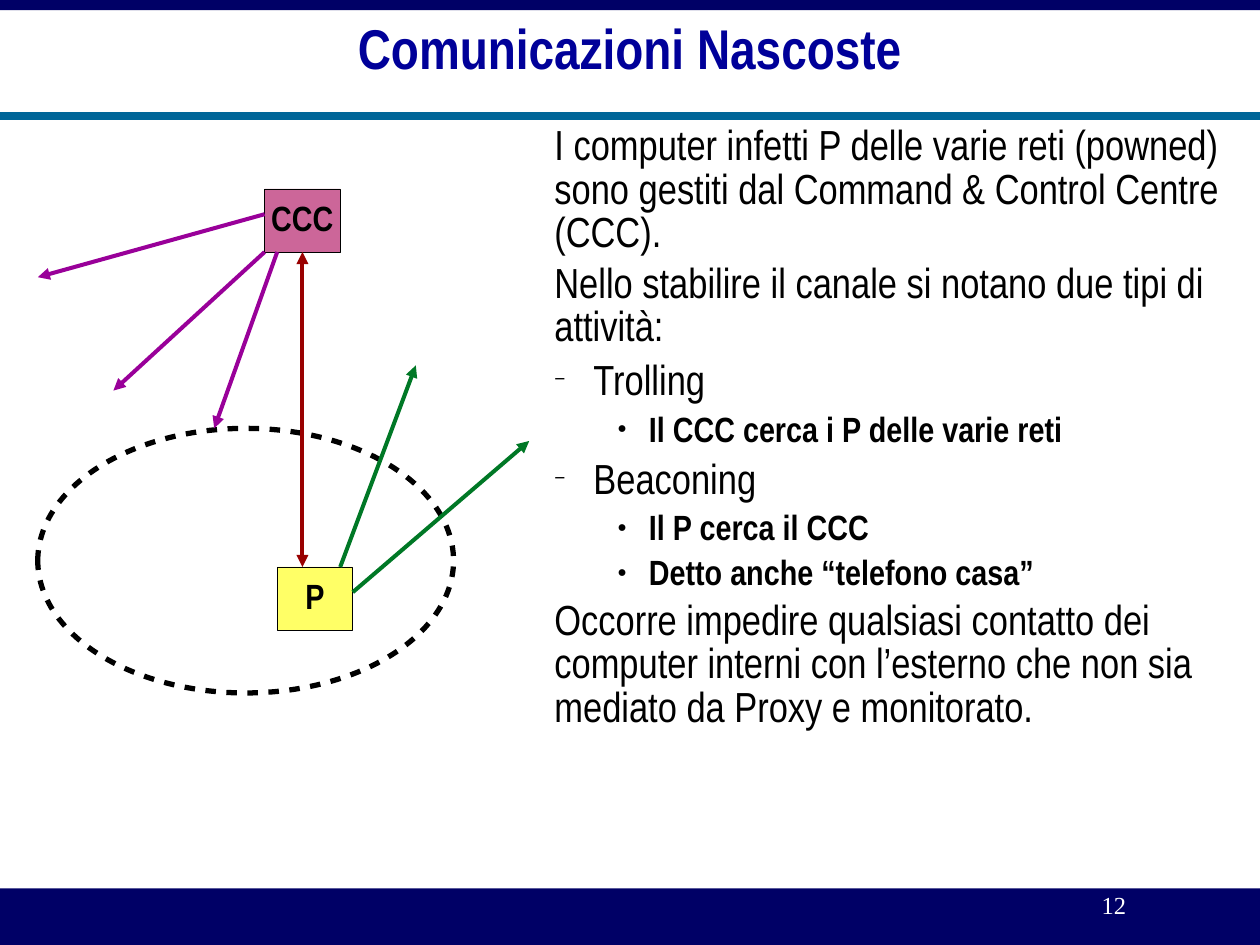
from dataclasses import dataclass

from lxml.etree import SubElement
from pptx import Presentation
from pptx.dml.color import RGBColor
from pptx.enum.shapes import MSO_CONNECTOR as Connector, MSO_SHAPE as Shape
from pptx.enum.text import MSO_ANCHOR as Anchor, MSO_AUTO_SIZE as AutoSize, PP_ALIGN as Align
from pptx.oxml.ns import qn
from pptx.util import Inches, Pt


@dataclass(frozen=True)
class Theme:
    """Colours, fonts, type sizes and line widths."""
    navy: str = "000066"
    teal: str = "006699"
    title: str = "000099"
    black: str = "000000"
    white: str = "FFFFFF"
    yellow: str = "FFFF66"
    pink: str = "CC6699"
    purple: str = "990099"
    green: str = "007826"
    red: str = "990000"
    font: str = "Arial Narrow"
    number_font: str = "Times New Roman"
    title_size: int = 32
    body_size: int = 24
    detail_size: int = 20
    number_size: int = 14
    spacing: float = 0.86
    rule: float = 4.5
    dashes: float = 3
    arrow: float = 2.3
    hairline: float = 0.25


@dataclass(frozen=True)
class Box:
    """A region measured in grid cells, ten to the inch."""
    column: float
    row: float
    columns: float
    rows: float

    def inner(self, column, row, columns, rows):
        """Return a smaller box placed relative to this one."""
        return Box(self.column + column, self.row + row, columns, rows)

    def point(self, column, row):
        """Return a point of this box in slide lengths."""
        return cells(self.column + column), cells(self.row + row)

    def frame(self):
        """Return left, top, width and height in slide lengths."""
        return [cells(n) for n in (self.column, self.row, self.columns, self.rows)]


THEME = Theme()
PAGE = Box(0, 0, 100, 75)
PLAIN = dict(level=4, margin=0.5, before=4.5)
TOPIC = dict(level=1, margin=0.81, hanging=0.31, before=6, bullet="−")
DETAIL = dict(level=2, margin=1.25, hanging=0.25, before=5, bullet="●",
              size=THEME.detail_size, bold=True)
BODY = [
    ("I computer infetti P delle varie reti (powned) sono gestiti dal "
     "Command & Control Centre (CCC).", PLAIN),
    ("Nello stabilire il canale si notano due tipi di attività:", PLAIN),
    ("Trolling", TOPIC),
    ("Il CCC cerca i P delle varie reti", DETAIL),
    ("Beaconing", TOPIC),
    ("Il P cerca il CCC", DETAIL),
    ("Detto anche “telefono casa”", DETAIL),
    ("Occorre impedire qualsiasi contatto dei computer interni con l’esterno "
     "che non sia mediato da Proxy e monitorato.", PLAIN),
]


def cells(count):
    """Convert grid cells to a slide length."""
    return Inches(count / 10)


def color(value):
    """Convert a hex colour."""
    return RGBColor.from_string(value)


def set_frame(shape, box):
    """Move and size a shape to a box."""
    shape.left, shape.top, shape.width, shape.height = box.frame()


def prepare_text(shape, anchor=Anchor.TOP, wrap=True, inset=0):
    """Set the text frame's layout and return it."""
    frame = shape.text_frame
    frame.auto_size, frame.word_wrap, frame.vertical_anchor = AutoSize.NONE, wrap, anchor
    frame.margin_left = frame.margin_right = Inches(2 * inset)
    frame.margin_top = frame.margin_bottom = Inches(inset)
    return frame


def write(paragraph, text, size=THEME.body_size, font=THEME.font, fill=THEME.black, bold=False,
          align=Align.LEFT, level=0, margin=0, hanging=0, before=0, bullet=None):
    """Write one formatted paragraph."""
    run = paragraph.add_run()
    run.text = text
    run.font.size, run.font.name, run.font.bold = Pt(size), font, bold
    run.font.color.rgb = color(fill)
    paragraph.alignment, paragraph.level = align, level
    paragraph.line_spacing, paragraph.space_before = THEME.spacing, Pt(before)
    properties = paragraph._p.get_or_add_pPr()
    properties.set("marL", str(Inches(margin)))
    properties.set("indent", str(-Inches(hanging)))
    if bullet:
        bullet_color = SubElement(properties, qn("a:buClr"))
        SubElement(bullet_color, qn("a:srgbClr"), val=fill)
        SubElement(properties, qn("a:buSzPct"), val="45000")
        SubElement(properties, qn("a:buChar"), char=bullet)
    else:
        SubElement(properties, qn("a:buNone"))


def add_block(slide, box, kind=Shape.RECTANGLE, fill=None, line=None, width=THEME.hairline):
    """Add a flat shape with optional fill and outline."""
    shape = slide.shapes.add_shape(kind, *box.frame())
    shape.shadow.inherit = False
    if fill:
        shape.fill.solid()
        shape.fill.fore_color.rgb = color(fill)
    else:
        shape.fill.background()
    if line:
        shape.line.color.rgb = color(line)
        shape.line.width = Pt(width)
    else:
        shape.line.fill.background()
    return shape


def add_line(slide, start, end, stroke, width=THEME.arrow, arrows=()):
    """Add a straight line with triangles at the named ends."""
    line = slide.shapes.add_connector(Connector.STRAIGHT, *start, *end)
    line.line.color.rgb = color(stroke)
    line.line.width = Pt(width)
    properties = line.element.spPr
    for arrow in arrows:
        SubElement(properties.get_or_add_ln(), qn(f"a:{arrow}"), type="triangle")
    SubElement(properties, qn("a:effectLst"))
    return line


def add_node(slide, box, label, fill):
    """Add a labelled computer."""
    node = add_block(slide, box, fill=fill, line=THEME.black)
    frame = prepare_text(node, Anchor.MIDDLE, wrap=False)
    write(frame.paragraphs[0], label, size=THEME.detail_size, bold=True, align=Align.CENTER)
    return node


def build_bands(slide, box):
    """Add the top band, the rule and the footer with its number."""
    add_block(slide, box.inner(0, 0, box.columns, 0.8), fill=THEME.navy)
    add_line(slide, box.point(0, 9.2), box.point(box.columns, 9.2), THEME.teal, THEME.rule)
    footer = box.inner(0, box.rows - 4.5, box.columns, 4.5)
    add_block(slide, footer, fill=THEME.navy)
    number = slide.shapes.add_textbox(*footer.inner(78, 0, 20.8, 3.3).frame())
    write(prepare_text(number, inset=0.05).paragraphs[0], "12", size=THEME.number_size,
          font=THEME.number_font, fill=THEME.white, align=Align.CENTER)


def build_title(slide, box):
    """Fill the title placeholder."""
    title = slide.shapes.title
    set_frame(title, box)
    write(prepare_text(title, Anchor.MIDDLE).paragraphs[0], "Comunicazioni Nascoste",
          size=THEME.title_size, fill=THEME.title, bold=True, align=Align.CENTER)


def build_body(slide, box):
    """Fill the body placeholder with the list."""
    body = slide.placeholders[1]
    set_frame(body, box)
    frame = prepare_text(body)
    for index, (text, style) in enumerate(BODY):
        write(frame.add_paragraph() if index else frame.paragraphs[0], text, **style)


def build_diagram(slide, box):
    """Draw the network, its two computers and their contacts."""
    network = add_block(slide, box.inner(0, 19, 33, 21), Shape.OVAL,
                        line=THEME.black, width=THEME.dashes)
    dashes = SubElement(network.element.spPr.get_or_add_ln(), qn("a:custDash"))
    SubElement(dashes, qn("a:ds"), d="200000", sp="200000")
    add_node(slide, box.inner(19, 30, 6, 5), "P", THEME.yellow)
    centre = add_node(slide, box.inner(18, 0, 6, 5), "CCC", THEME.pink)
    contacts = [
        ((19, 5), (14, 19), THEME.purple),
        ((18, 5), (6, 16), THEME.purple),
        ((18, 2), (0, 7), THEME.purple),
        ((25, 32), (39, 20), THEME.green),
        ((24, 30), (30, 14), THEME.green),
    ]
    for start, end, stroke in contacts:
        add_line(slide, box.point(*start), box.point(*end), stroke, arrows=["tailEnd"])
    channel = add_line(slide, box.point(21, 5), box.point(21, 30), THEME.red,
                       arrows=["headEnd", "tailEnd"])
    channel.begin_connect(centre, 2)


def main():
    """Build and save the slide."""
    presentation = Presentation()
    presentation.slide_width, presentation.slide_height = cells(PAGE.columns), cells(PAGE.rows)
    slide = presentation.slides.add_slide(presentation.slide_layouts[1])
    build_bands(slide, PAGE)
    build_title(slide, PAGE.inner(2, 0, 96, 8.3))
    build_body(slide, PAGE.inner(39, 10, 59, 58))
    build_diagram(slide, PAGE.inner(3, 15, 39, 40))
    presentation.save("out.pptx")


if __name__ == "__main__":
    main()
